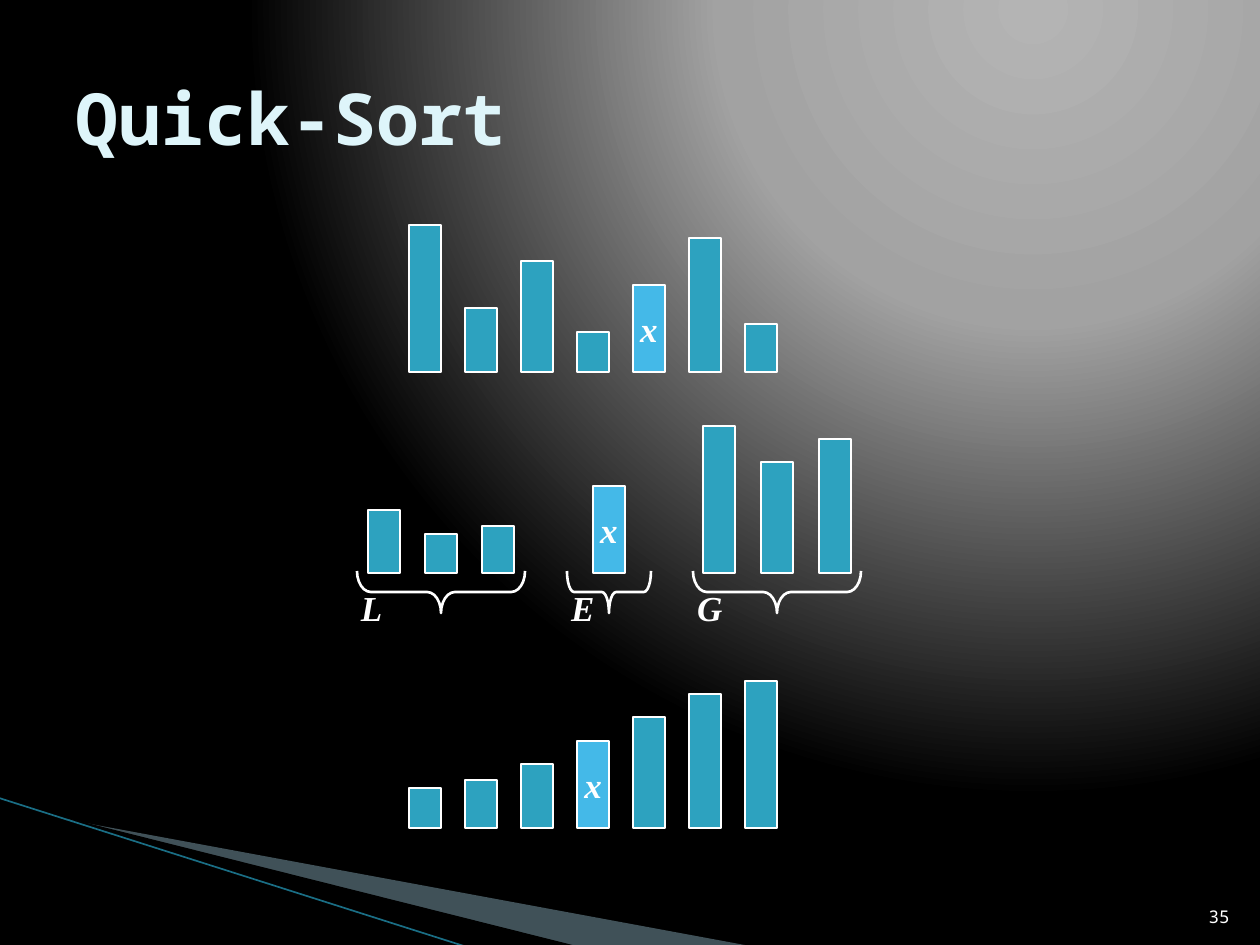
from dataclasses import dataclass

from lxml.etree import SubElement
from pptx import Presentation
from pptx.dml.color import RGBColor
from pptx.enum.shapes import MSO_CONNECTOR as Connector, MSO_SHAPE as Shape
from pptx.enum.text import MSO_ANCHOR as Anchor, MSO_AUTO_SIZE as AutoSize, PP_ALIGN as Align
from pptx.oxml import parse_xml
from pptx.oxml.ns import nsdecls, qn
from pptx.util import Pt

EMU_PER_PX = 914400 / 126
WHITE, BLACK, TEAL, SKY = "FFFFFF", "000000", "2DA2BF", "44B9E8"
MONO, SERIF = "Noto Sans Mono", "Times New Roman"
BAR_WIDTH = 32
PIVOT_HEIGHT = 87


@dataclass(frozen=True)
class BarRow:
    left: int
    baseline: int
    pitch: int
    heights: tuple[int, ...]


@dataclass(frozen=True)
class Brace:
    label: str
    center: int
    length: int
    curve: float


BAR_ROWS = (
    BarRow(409, 372, 56, (147, 64, 111, 40, PIVOT_HEIGHT, 134, 48)),
    BarRow(368, 573, 57, (63, 39, 47)),
    BarRow(593, 573, 57, (PIVOT_HEIGHT,)),
    BarRow(703, 573, 58, (147, 111, 134)),
    BarRow(409, 828, 56, (40, 48, 64, PIVOT_HEIGHT, 111, 134, 147)),
)
BRACES = (
    Brace("L", 441, 168, 0.33),
    Brace("G", 777, 168, 0.33),
    Brace("E", 609, 84, 0.17),
)
BRACE_MIDDLE, BRACE_DEPTH = 592, 42
LABEL_TOP, LABEL_WIDTH, LABEL_HEIGHT = 587, 30, 40


def px(length: int) -> int:
    return round(length * EMU_PER_PX)


def box(left: int, top: int, width: int, height: int) -> tuple[int, ...]:
    return px(left), px(top), px(width), px(height)


def rgb(color: str) -> RGBColor:
    return RGBColor.from_string(color)


def set_text(shape, text: str, font_name: str, size: int, color: str,
             align: Align, bold: bool = False, italic: bool = False) -> None:
    shape.text_frame.text = text
    paragraph = shape.text_frame.paragraphs[0]
    paragraph.alignment = align
    font = paragraph.runs[0].font
    font.name, font.size, font.bold, font.italic = font_name, Pt(size), bold, italic
    font.color.rgb = rgb(color)


def set_label(shape, text: str, align: Align) -> None:
    shape.text_frame.word_wrap = False
    set_text(shape, text, SERIF, 20, WHITE, align, bold=True, italic=True)


def outline(shape) -> None:
    shape.shadow.inherit = False
    shape.line.color.rgb = rgb(WHITE)
    shape.line.width = Pt(1.5)


def paint_background(slide) -> None:
    """Light spreads in circles from the upper right corner into black."""
    fill = slide.background.fill
    fill.gradient()
    stops = "".join(
        f'<a:gs pos="{percent * 1000}"><a:srgbClr val="{color}"/></a:gs>'
        for percent, color in ((0, "B4B4B4"), (40, "A2A2A2"), (100, BLACK)))
    gradient = parse_xml(
        f'<a:gradFill {nsdecls("a")} rotWithShape="1"><a:gsLst>{stops}</a:gsLst>'
        '<a:path path="circle"><a:fillToRect l="65000" t="0" r="0" b="98000"/></a:path>'
        '</a:gradFill>')
    old_gradient = next(slide.element.iter(qn("a:gradFill")))
    old_gradient.getparent().replace(old_gradient, gradient)


def add_wedge(slide, points: list[tuple[int, int]], color: str, opacity: int = 100) -> None:
    builder = slide.shapes.build_freeform(*points[0], scale=EMU_PER_PX)
    builder.add_line_segments(points[1:], close=True)
    wedge = builder.convert_to_shape()
    wedge.shadow.inherit = False
    wedge.fill.solid()
    wedge.fill.fore_color.rgb = rgb(color)
    wedge.line.fill.background()
    if opacity < 100:
        fill_color = wedge.element.spPr.find(qn("a:solidFill")).find(qn("a:srgbClr"))
        SubElement(fill_color, qn("a:alpha"), val=str(opacity * 1000))


def add_corner_decoration(slide) -> None:
    add_wedge(slide, [(69, 820), (750, 946), (575, 946), (69, 819)], "A0CBDC", opacity=40)
    add_wedge(slide, [(67, 818), (576, 946), (469, 947), (68, 819)], BLACK)
    line = slide.shapes.add_connector(
        Connector.STRAIGHT, px(-1), px(798), px(467), px(947))
    line.line.color.rgb = rgb("1A6E85")
    line.line.width = Pt(0.95)
    SubElement(line.element.spPr, qn("a:effectLst"))


def add_bars(slide, row: BarRow) -> None:
    for index, height in enumerate(row.heights):
        bar = slide.shapes.add_shape(Shape.RECTANGLE, *box(
            row.left + index * row.pitch, row.baseline - height, BAR_WIDTH, height))
        is_pivot = height == PIVOT_HEIGHT
        outline(bar)
        bar.fill.solid()
        bar.fill.fore_color.rgb = rgb(SKY if is_pivot else TEAL)
        if is_pivot:
            bar.text_frame.vertical_anchor = Anchor.MIDDLE
            set_label(bar, "x", Align.CENTER)


def add_brace(slide, brace: Brace) -> None:
    """A left brace turned to lie below its bars, with its label under the left end."""
    shape = slide.shapes.add_shape(Shape.LEFT_BRACE, *box(
        brace.center - BRACE_DEPTH // 2, BRACE_MIDDLE - brace.length // 2,
        BRACE_DEPTH, brace.length))
    shape.rotation = 270
    shape.adjustments[0] = brace.curve
    shape.adjustments[1] = 0.5
    outline(shape)
    shape.fill.background()

    label = slide.shapes.add_textbox(*box(
        brace.center - brace.length // 2 + 4, LABEL_TOP, LABEL_WIDTH, LABEL_HEIGHT))
    frame = label.text_frame
    frame.margin_left = frame.margin_right = frame.margin_top = frame.margin_bottom = 0
    frame.vertical_anchor = Anchor.TOP
    set_label(label, brace.label, Align.LEFT)
    frame.word_wrap = True


def add_title(slide) -> None:
    title = slide.shapes.title
    title.left, title.top, title.width, title.height = box(63, 38, 1134, 158)
    title.text_frame.vertical_anchor = Anchor.MIDDLE
    title.text_frame.auto_size = AutoSize.NONE
    set_text(title, "Quick-Sort", MONO, 41, "DEF5FA", Align.LEFT, bold=True)


def add_page_number(slide) -> None:
    number = slide.shapes.add_textbox(*box(1192, 883, 50, 50))
    number.text_frame.word_wrap = True
    number.text_frame.vertical_anchor = Anchor.BOTTOM
    set_text(number, "35", MONO, 10, WHITE, Align.RIGHT)


def main() -> None:
    presentation = Presentation()
    presentation.slide_width, presentation.slide_height = px(1260), px(945)
    slide = presentation.slides.add_slide(presentation.slide_layouts[5])
    paint_background(slide)
    add_corner_decoration(slide)
    add_title(slide)
    for row in BAR_ROWS:
        add_bars(slide, row)
    for brace in BRACES:
        add_brace(slide, brace)
    add_page_number(slide)
    presentation.save("out.pptx")


if __name__ == "__main__":
    main()
